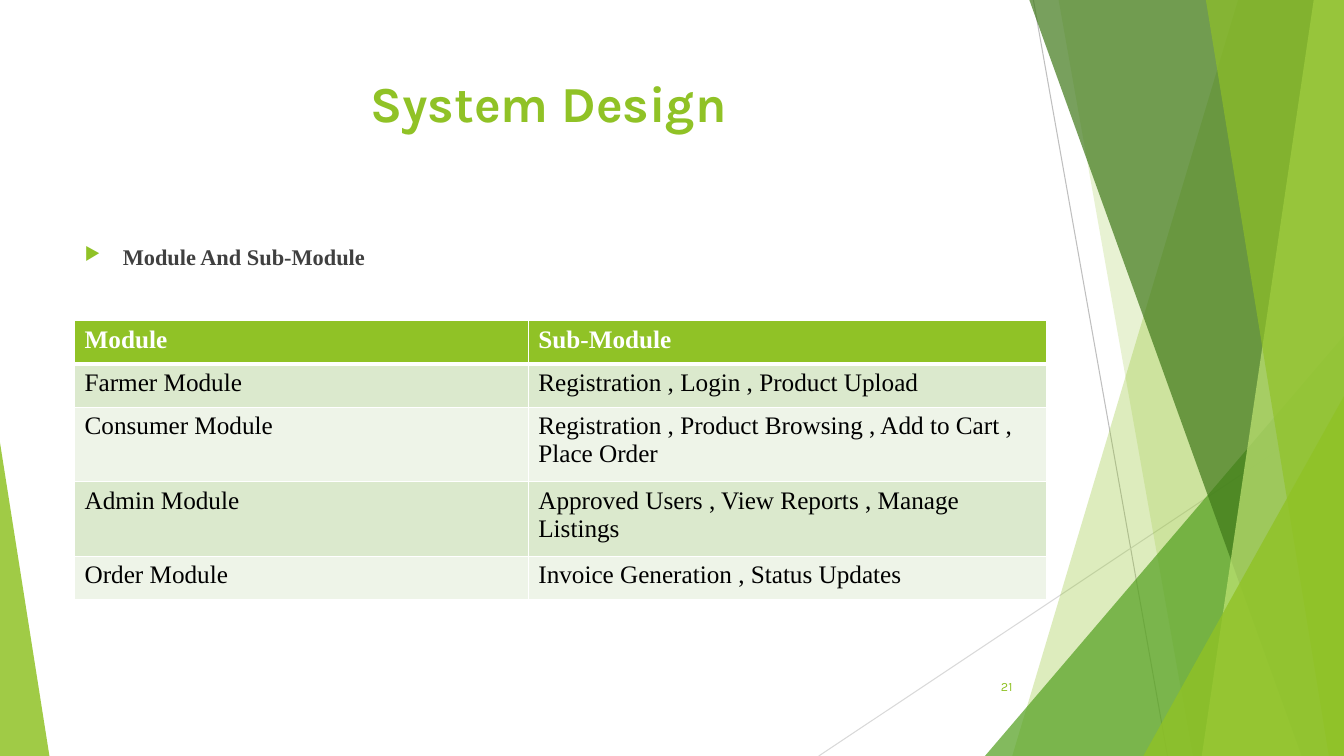
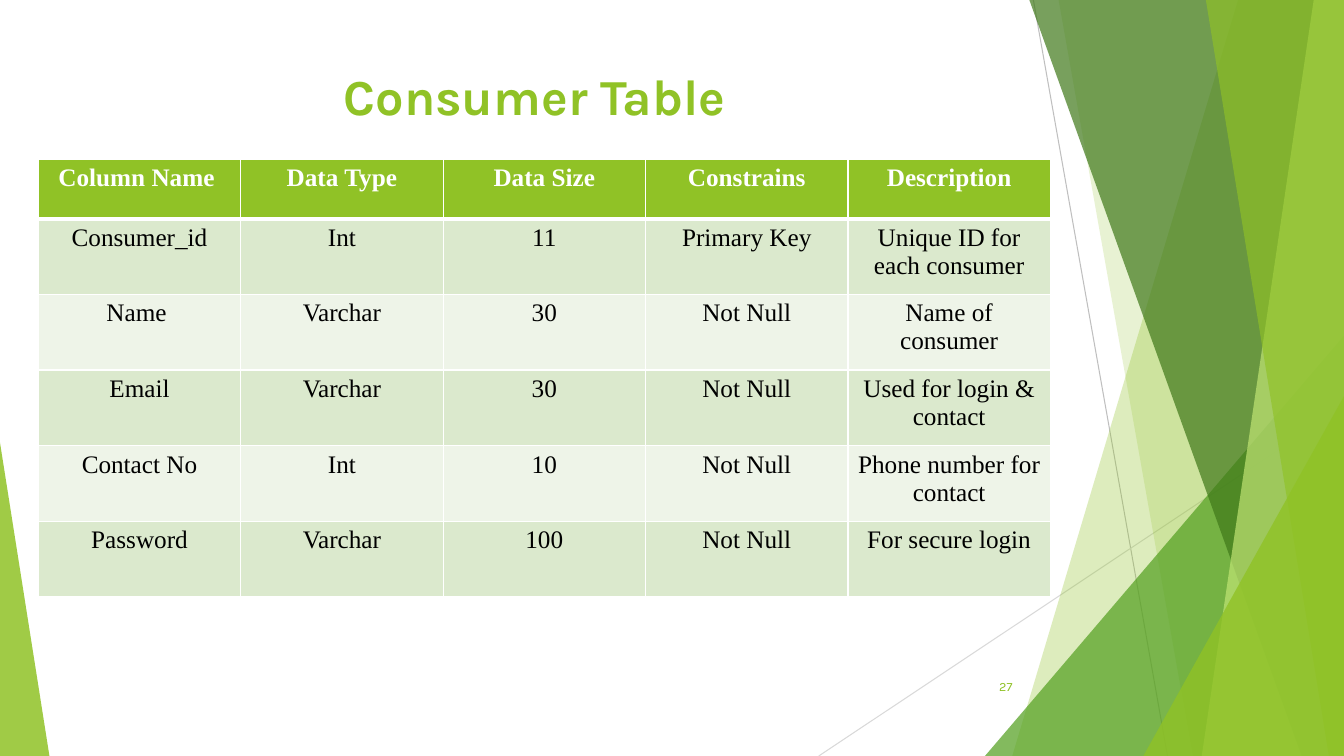
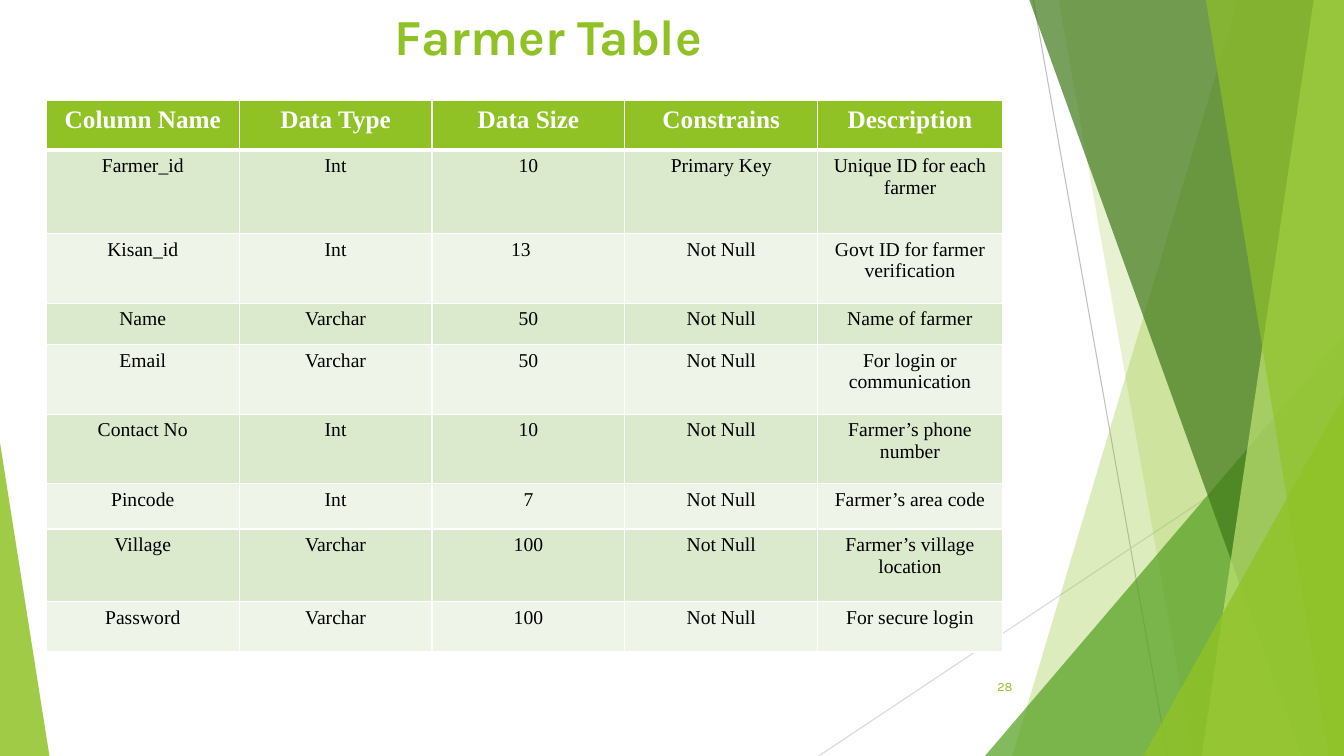
import dataclasses

import lxml.etree
import pptx
import pptx.dml.color
import pptx.enum.shapes
import pptx.enum.text
import pptx.oxml.ns
import pptx.util

ALIGN = pptx.enum.text.PP_ALIGN
ANCHOR = pptx.enum.text.MSO_ANCHOR
TRIANGLE = pptx.enum.shapes.MSO_SHAPE.ISOSCELES_TRIANGLE
STRAIGHT = pptx.enum.shapes.MSO_CONNECTOR.STRAIGHT
WIDTH, HEIGHT = pptx.util.Inches(13.33), pptx.util.Inches(7.5)


@dataclasses.dataclass(frozen=True)
class Theme:
    lime: str = "90C226"
    green: str = "54A021"
    forest: str = "3F7819"
    pale_lime: str = "C0E474"
    steep_line: str = "BFBFBF"
    flat_line: str = "D9D9D9"
    body: str = "404040"
    white: str = "FFFFFF"
    black: str = "000000"
    bands: tuple = ("DBE9CD", "EEF4E8")
    heading_font: str = "Karla"
    text_font: str = "Times New Roman"
    title_size: int = 36
    body_size: int = 16
    table_size: int = 18
    dense_size: int = 14
    number_size: int = 9
    hairline: float = 0.75
    border: int = 1
    header_border: int = 3


THEME = Theme()

# Backdrop, back to front; positions are percentages of the slide
BACKDROP_LINES = [
    # start x, start y, end x, end y, colour
    (76.89, 0, 86.87, 100, THEME.steep_line),
    (100, 53.73, 60.92, 100, THEME.flat_line),
]
BACKDROP_SHAPES = [
    # kind, measures, colour, opacity
    ("band", (92.12, 75.32), THEME.lime, 30),
    ("band", (78.77, 88.75), THEME.lime, 20),
    ("corner", (73.29, 44.4, 26.71, 1), THEME.green, 72),
    ("band", (76.59, 96.85), THEME.forest, 70),
    ("band", (97.75, 89.42), THEME.pale_lime, 70),
    ("band", (89.72, 98.87), THEME.lime, 65),
    ("corner", (85.07, 52.4, 14.93, 1), THEME.lime, 80),
    ("corner", (0, 58.53, 3.68, 0), THEME.lime, 85),
]

# Table contents
FIELD_HEADINGS = ["Column Name", "Data Type", "Data Size", "Constrains", "Description"]
MODULES = [
    ["Module", "Sub-Module"],
    ["Farmer Module", "Registration , Login , Product Upload"],
    ["Consumer Module", "Registration , Product Browsing , Add to Cart , Place Order"],
    ["Admin Module", "Approved Users , View Reports , Manage Listings"],
    ["Order Module", "Invoice Generation , Status Updates"],
]
CONSUMER_FIELDS = [
    FIELD_HEADINGS,
    ["Consumer_id", "Int", "11", "Primary Key", "Unique ID for each consumer"],
    ["Name", "Varchar", "30", "Not Null", "Name of consumer"],
    ["Email", "Varchar", "30", "Not Null", "Used for login & contact"],
    ["Contact No", "Int", "10", "Not Null", "Phone number for contact"],
    ["Password", "Varchar", "100", "Not Null", "For secure login"],
]
FARMER_FIELDS = [
    FIELD_HEADINGS,
    ["Farmer_id", "Int", "10", "Primary Key", "Unique ID for each farmer"],
    ["Kisan_id", "Int", "13", "Not Null", "Govt ID for farmer verification"],
    ["Name", "Varchar", "50", "Not Null", "Name of farmer"],
    ["Email", "Varchar", "50", "Not Null", "For login or communication"],
    ["Contact No", "Int", "10", "Not Null", "Farmer’s phone number"],
    ["Pincode", "Int", "7", "Not Null", "Farmer’s area code"],
    ["Village", "Varchar", "100", "Not Null", "Farmer’s village location"],
    ["Password", "Varchar", "100", "Not Null", "For secure login"],
]


# Helpers
def across(percent):
    return round(WIDTH * percent / 100)


def down(percent):
    return round(HEIGHT * percent / 100)


def box(left, top, width, height):
    return across(left), down(top), across(width), down(height)


def rgb(colour):
    return pptx.dml.color.RGBColor.from_string(colour)


def add_element(parent, tag, **attributes):
    return lxml.etree.SubElement(parent, pptx.oxml.ns.qn(tag), attributes)


def apply_format(target, values):
    for name, value in values.items():
        setattr(target, name, value)


def write(paragraph, text, font, size, colour, bold=False, align=ALIGN.LEFT):
    paragraph.alignment = align
    run = paragraph.add_run()
    run.text = text
    apply_format(run.font, {"name": font, "size": pptx.util.Pt(size), "bold": bold})
    run.font.color.rgb = rgb(colour)


# Backdrop
def add_line(slide, start_x, start_y, end_x, end_y, colour):
    connector = slide.shapes.add_connector(
        STRAIGHT, across(start_x), down(start_y), across(end_x), down(end_y))
    connector.line.color.rgb = rgb(colour)
    connector.line.width = pptx.util.Pt(THEME.hairline)
    add_element(connector._element.spPr, "a:effectLst")


def add_band(slide, top_x, bottom_x):
    """Full-height panel with a slanted left edge."""
    builder = slide.shapes.build_freeform(across(top_x), 0)
    builder.add_line_segments(
        [(WIDTH, 0), (WIDTH, HEIGHT), (across(bottom_x), HEIGHT)], close=True)
    return builder.convert_to_shape()


def add_corner(slide, left, top, width, apex):
    """Right-angled triangle standing on the bottom edge."""
    shape = slide.shapes.add_shape(TRIANGLE, *box(left, top, width, 100 - top))
    shape.adjustments[0] = apex
    return shape


def add_backdrop(slide):
    for line in BACKDROP_LINES:
        add_line(slide, *line)
    builders = {"band": add_band, "corner": add_corner}
    for kind, measures, colour, opacity in BACKDROP_SHAPES:
        shape = builders[kind](slide, *measures)
        shape.shadow.inherit = False
        shape.line.fill.background()
        shape.fill.solid()
        shape.fill.fore_color.rgb = rgb(colour)
        colour_element = shape._element.spPr.find(".//" + pptx.oxml.ns.qn("a:srgbClr"))
        add_element(colour_element, "a:alpha", val=str(opacity * 1000))


# Text
def add_text(slide, place, text, anchor=ANCHOR.TOP, **style):
    frame = slide.shapes.add_textbox(*box(*place)).text_frame
    apply_format(frame, {"word_wrap": True, "vertical_anchor": anchor})
    write(frame.paragraphs[0], text, **style)
    return frame.paragraphs[0]


def add_bullet(slide, place, text):
    paragraph = add_text(slide, place, text, font=THEME.text_font,
                         size=THEME.body_size, colour=THEME.body, bold=True)
    properties = paragraph._p.get_or_add_pPr()
    indent = pptx.util.Inches(0.38)
    properties.set("marL", str(indent))
    properties.set("indent", str(-indent))
    add_element(add_element(properties, "a:buClr"), "a:srgbClr", val=THEME.lime)
    add_element(properties, "a:buSzPct", val="80000")
    add_element(properties, "a:buChar", char="▶")


# Tables
def add_borders(cell, is_header):
    properties = cell._tc.get_or_add_tcPr()
    for side in "LRTB":
        points = THEME.header_border if is_header and side == "B" else THEME.border
        border = add_element(properties, "a:ln" + side, w=str(pptx.util.Pt(points)))
        add_element(add_element(border, "a:solidFill"), "a:srgbClr", val=THEME.white)


def add_table(slide, left, top, columns, rows, contents,
              size=THEME.table_size, align=ALIGN.CENTER, right_margins=None):
    """right_margins maps (row, column) to a cell's right margin in inches."""
    table = slide.shapes.add_table(
        len(rows), len(columns), *box(left, top, sum(columns), sum(rows))).table
    apply_format(table, {"first_row": False, "horz_banding": False})
    for column, width in zip(table.columns, columns):
        column.width = across(width)
    for row, height in zip(table.rows, rows):
        row.height = down(height)
    for row_index, texts in enumerate(contents):
        is_header = row_index == 0
        fill = THEME.lime if is_header else THEME.bands[(row_index - 1) % 2]
        for column_index, text in enumerate(texts):
            cell = table.cell(row_index, column_index)
            add_borders(cell, is_header)
            cell.fill.solid()
            cell.fill.fore_color.rgb = rgb(fill)
            margin = (right_margins or {}).get((row_index, column_index))
            if margin:
                cell.margin_right = pptx.util.Inches(margin)
            write(cell.text_frame.paragraphs[0], text, THEME.text_font,
                  THEME.table_size if is_header else size,
                  THEME.white if is_header else THEME.black, is_header, align)


# Slides
def add_slide(presentation, title, title_place, number):
    slide = presentation.slides.add_slide(presentation.slide_layouts[6])
    add_backdrop(slide)
    add_text(slide, title_place, title, font=THEME.heading_font,
             size=THEME.title_size, colour=THEME.lime, bold=True, align=ALIGN.CENTER)
    add_text(slide, (70.44, 88.13, 5.63, 5.33), str(number), anchor=ANCHOR.MIDDLE,
             font=THEME.heading_font, size=THEME.number_size,
             colour=THEME.lime, align=ALIGN.RIGHT)
    return slide


def main():
    presentation = pptx.Presentation()
    apply_format(presentation, {"slide_width": WIDTH, "slide_height": HEIGHT})

    # Modules
    slide = add_slide(presentation, "System Design", (5.55, 8.93, 70.52, 19.2), 21)
    add_bullet(slide, (5.55, 31.47, 70.52, 56.53), "Module And Sub-Module")
    add_table(slide, 5.55, 42.4, [33.76, 38.56], [5.73, 5.73, 9.87, 9.87, 5.73],
              MODULES, align=ALIGN.LEFT)

    # Consumer fields
    slide = add_slide(presentation, "Consumer Table", (4.5, 8, 70.52, 19.2), 27)
    add_table(slide, 2.85, 21.07, [15.06] * 5, [7.87] + [10] * 5, CONSUMER_FIELDS,
              right_margins={(0, 0): 0.16, (2, 0): 0.16})

    # Farmer fields
    slide = add_slide(presentation, "Farmer Table", (5.55, 0, 70.52, 10), 28)
    add_table(slide, 3.45, 13.33, [14.35] * 4 + [13.73],
              [6.53, 11.07, 9.2, 5.47, 9.2, 9.2, 6, 9.6, 6.67], FARMER_FIELDS,
              size=THEME.dense_size, right_margins={(2, 2): 0.25})

    presentation.save("out.pptx")


if __name__ == "__main__":
    main()
